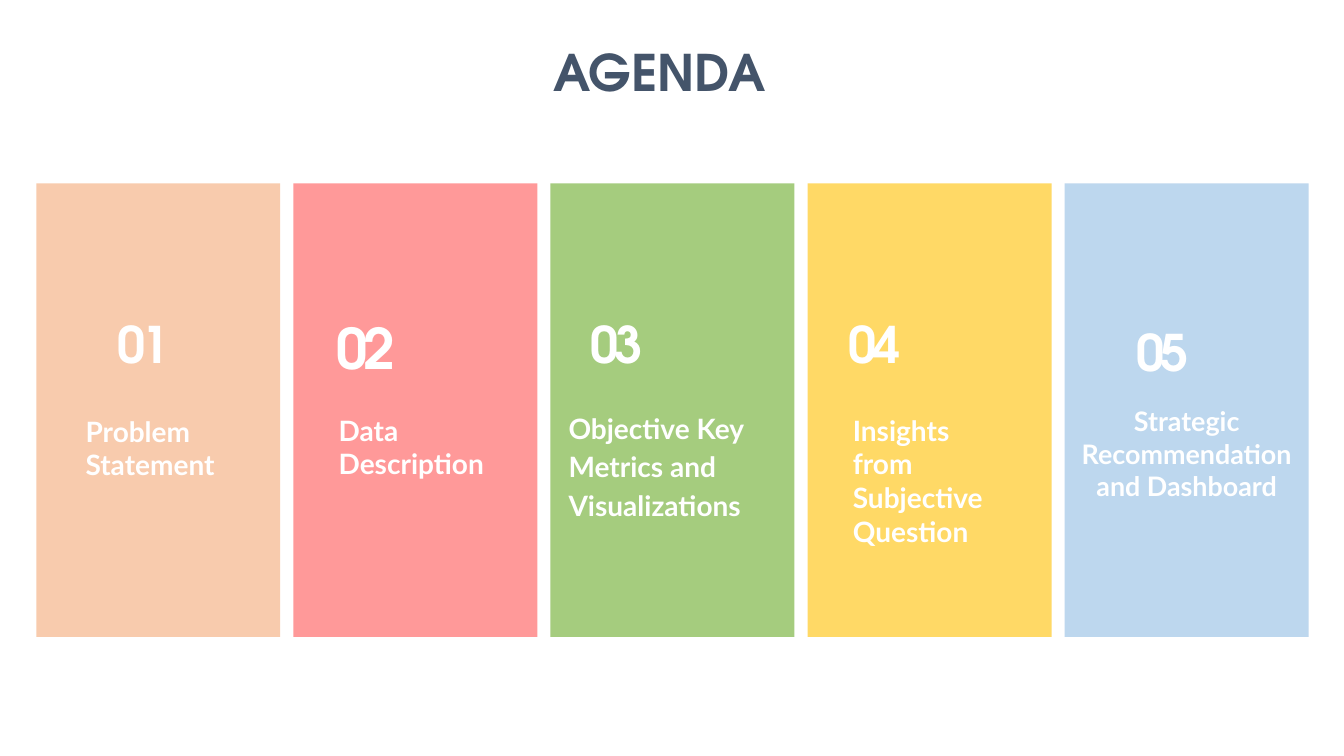
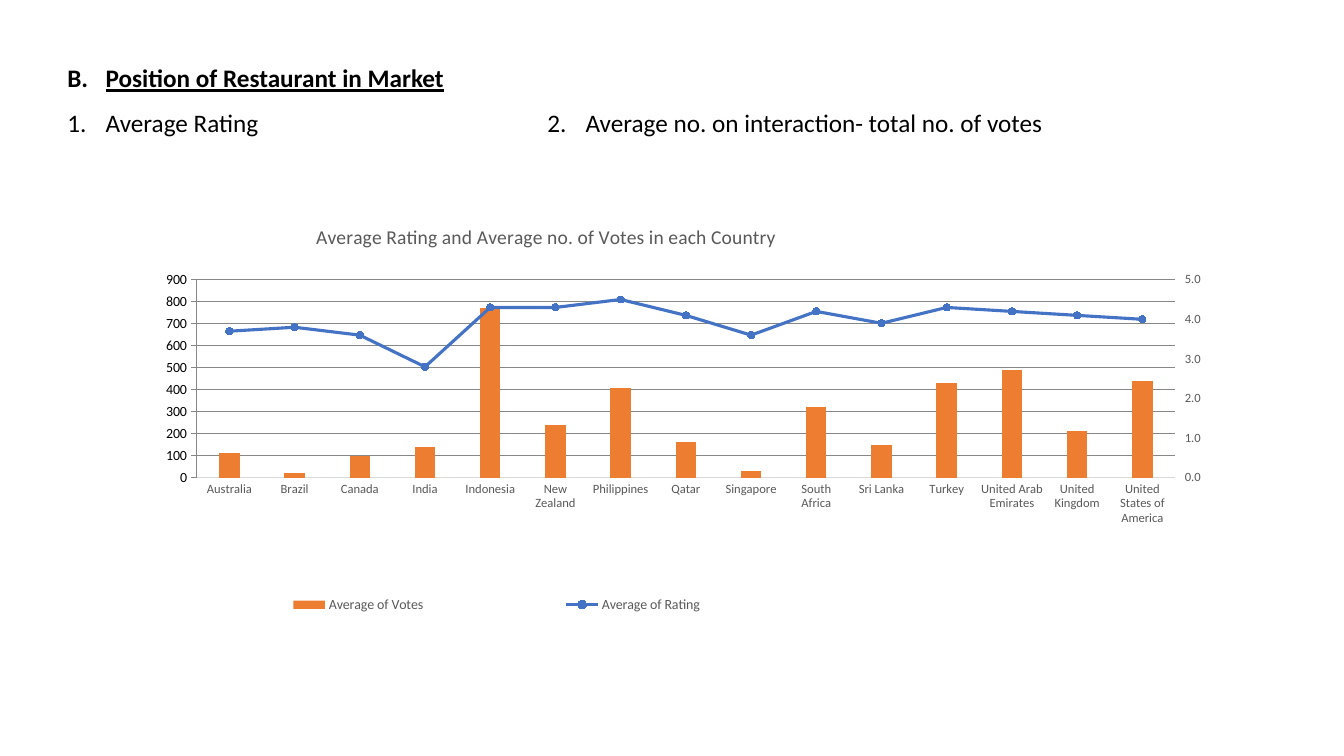
from pptx import Presentation
from pptx.chart.axis import ValueAxis
from pptx.chart.data import CategoryChartData
from pptx.dml.color import RGBColor
from pptx.enum.chart import XL_CHART_TYPE, XL_LEGEND_POSITION, XL_MARKER_STYLE, XL_TICK_MARK
from pptx.enum.shapes import MSO_SHAPE
from pptx.enum.text import MSO_AUTO_SIZE, PP_ALIGN
from pptx.oxml import parse_xml
from pptx.oxml.ns import nsdecls, qn
from pptx.util import Pt

EMU_PER_PX = 9144  # 100 px to the inch
COLORS = {
    "title": "44546A", "white": "FFFFFF", "black": "000000",
    "peach": "F8CBAD", "pink": "FF9999", "green": "A5CC7E",
    "yellow": "FFD966", "sky": "BDD7EE",
    "votes": "ED7D31", "rating": "4472C4", "chart_text": "595959", "axis": "D9D9D9",
}
FONTS = {
    "title": {"name": "TeX Gyre Adventor", "size": Pt(36), "bold": True},
    "label": {"name": "Lato", "size": Pt(20), "bold": True},
    "heading": {"name": "Calibri", "size": Pt(18), "bold": True, "underline": True},
    "item": {"name": "Calibri", "size": Pt(18), "bold": False},
    "chart_title": {"name": "Calibri", "size": Pt(14), "bold": False},
    "legend": {"name": "Calibri", "size": Pt(10)},
    "tick": {"name": "Calibri", "size": Pt(9)},
}

CARD_LEFT, CARD_PITCH, CARD_TOP, CARD_WIDTH, CARD_HEIGHT = 36, 255, 182, 242, 450
# colour, number box, number size, label, label box, label size, label format
CARDS = [
    ("peach", (107, 306, 127, 70), 36, "Problem Statement", (75, 406, 171, 77), 20, {}),
    ("pink", (324, 306, 127, 77), 40, "Data Description", (326, 405, 171, 77), 20, {}),
    ("green", (576, 306, 127, 70), 36, "Objective Key Metrics and Visualizations",
     (554, 398, 211, 121), 20, {"line_spacing": 1.15}),
    ("yellow", (832, 306, 127, 70), 36, "Insights from Subjective Question",
     (836, 405, 171, 143), 20, {}),
    ("sky", (1117, 314, 118, 70), 36, "Strategic Recommendation and Dashboard",
     (1061, 397, 232, 110), 19.2, {"alignment": PP_ALIGN.CENTER}),
]

COUNTRIES = [
    "Australia", "Brazil", "Canada", "India", "Indonesia", "New Zealand", "Philippines",
    "Qatar", "Singapore", "South Africa", "Sri Lanka", "Turkey", "United Arab Emirates",
    "United Kingdom", "United States of America",
]
VOTES = [110, 20, 100, 140, 770, 240, 410, 160, 30, 320, 150, 430, 490, 210, 440]
RATINGS = [3.7, 3.8, 3.6, 2.8, 4.3, 4.3, 4.5, 4.1, 3.6, 4.2, 3.9, 4.3, 4.2, 4.1, 4]


def px(length):
    return length * EMU_PER_PX


def rgb(color):
    return RGBColor.from_string(COLORS[color])


def set_attributes(target, values):
    for name, value in values.items():
        setattr(target, name, value)


def set_font(font, style, color, **changes):
    set_attributes(font, {**FONTS[style], **changes})
    font.color.rgb = rgb(color)


def set_fill(target, color):
    target.fill.solid()
    target.fill.fore_color.rgb = rgb(color)


def manual_layout(x, y, width, height, inner=False):
    """Return a chart layout element; a width of None fixes the position only."""
    target = '<c:layoutTarget val="inner"/>' if inner else ""
    parts = [("xMode", "edge"), ("yMode", "edge"), ("x", x), ("y", y)]
    if width is not None:
        parts += [("w", width), ("h", height)]
    body = "".join(f'<c:{tag} val="{value}"/>' for tag, value in parts)
    return parse_xml(f'<c:layout {nsdecls("c")}><c:manualLayout>{target}{body}'
                     "</c:manualLayout></c:layout>")


def replace_layout(parent, layout, before=None):
    for old in parent.findall(qn("c:layout")):
        parent.remove(old)
    if before is None:
        parent.insert(0, layout)
    else:
        parent.find(qn(before)).addprevious(layout)


def move_to_line(chart):
    """Draw the last column series as a line and return its new right axis."""
    plot_area = chart._chartSpace.find(".//" + qn("c:plotArea"))
    columns = plot_area.find(qn("c:barChart"))
    series = columns.findall(qn("c:ser"))[-1]
    for column_only in series.findall(qn("c:invertIfNegative")):
        series.remove(column_only)
    line = parse_xml(
        f'<c:lineChart {nsdecls("c")}><c:grouping val="standard"/><c:varyColors val="0"/>'
        '<c:marker val="1"/><c:axId val="5001"/><c:axId val="5002"/></c:lineChart>')
    line.insert(2, series)
    columns.addnext(line)
    scaling = '<c:scaling><c:orientation val="minMax"/></c:scaling>'
    right_axis = parse_xml(
        f'<c:valAx {nsdecls("c")}><c:axId val="5002"/>{scaling}<c:delete val="0"/>'
        '<c:axPos val="r"/><c:majorTickMark val="out"/><c:minorTickMark val="none"/>'
        '<c:tickLblPos val="nextTo"/><c:crossAx val="5001"/><c:crosses val="max"/>'
        '<c:crossBetween val="between"/></c:valAx>')
    hidden_axis = parse_xml(
        f'<c:catAx {nsdecls("c")}><c:axId val="5001"/>{scaling}<c:delete val="1"/>'
        '<c:axPos val="b"/><c:crossAx val="5002"/><c:crosses val="autoZero"/></c:catAx>')
    plot_area.find(qn("c:valAx")).addnext(right_axis)
    right_axis.addnext(hidden_axis)
    return ValueAxis(right_axis)


class Deck:
    def __init__(self):
        self.presentation = Presentation()
        set_attributes(self.presentation, {"slide_width": px(1333), "slide_height": px(750)})
        self.slide = None

    def new_slide(self):
        self.slide = self.presentation.slides.add_slide(self.presentation.slide_layouts[6])

    def text(self, box, text, style, color, wrap=True, spacing=None, paragraph_format=None,
             **font_changes):
        shape = self.slide.shapes.add_textbox(*map(px, box))
        set_attributes(shape.text_frame,
                       {"word_wrap": wrap, "auto_size": MSO_AUTO_SIZE.SHAPE_TO_FIT_TEXT})
        paragraph = shape.text_frame.paragraphs[0]
        set_attributes(paragraph, paragraph_format or {})
        run = paragraph.add_run()
        run.text = text
        set_font(run.font, style, color, **font_changes)
        if spacing is not None:
            run.font._element.set("spc", str(spacing))
        return paragraph

    def numbered(self, box, text, style, scheme, start):
        paragraph = self.text(box, text, style, "black",
                              paragraph_format={"line_spacing": 1.07, "space_after": Pt(8)})
        properties = paragraph._p.get_or_add_pPr()
        properties.set("marL", str(px(88)))
        properties.set("indent", str(px(-38)))
        properties.append(parse_xml(
            f'<a:buAutoNum {nsdecls("a")} type="{scheme}" startAt="{start}"/>'))

    def rectangle(self, box, color):
        shape = self.slide.shapes.add_shape(MSO_SHAPE.RECTANGLE, *map(px, box))
        shape.shadow.inherit = False
        set_fill(shape, color)
        shape.line.fill.background()

    def column_line_chart(self, box, title, categories, columns, line):
        """Columns use the left axis, the line the right one; each is (name, values)."""
        data = CategoryChartData()
        data.categories = categories
        for name, values in (columns, line):
            data.add_series(name, values)
        chart = self.slide.shapes.add_chart(
            XL_CHART_TYPE.COLUMN_CLUSTERED, *map(px, box), data).chart
        set_font(chart.font, "legend", "black")
        right_axis = move_to_line(chart)
        self.chart_title_and_legend(chart, title)
        self.chart_series(chart)
        self.chart_axes(chart, right_axis)

    def chart_title_and_legend(self, chart, title):
        chart.has_title = True
        frame = chart.chart_title.text_frame
        frame.text = title
        set_font(frame.paragraphs[0].runs[0].font, "chart_title", "chart_text")
        chart.has_legend = True
        set_attributes(chart.legend,
                       {"position": XL_LEGEND_POSITION.RIGHT, "include_in_layout": False})
        set_font(chart.legend.font, "legend", "chart_text")
        replace_layout(chart.chart_title._element, manual_layout(0.16, 0.03, None, None),
                       "c:overlay")
        replace_layout(chart.legend._element, manual_layout(0.01, 0.88, 0.65, 0.09),
                       "c:overlay")
        replace_layout(chart._chartSpace.find(".//" + qn("c:plotArea")),
                       manual_layout(0.05, 0.17, 0.93, 0.46, inner=True))

    def chart_series(self, chart):
        column_plot, line_plot = chart.plots
        set_attributes(column_plot, {"gap_width": 219, "vary_by_categories": False})
        set_fill(column_plot.series[0].format, "votes")
        rating = line_plot.series[0]
        rating.smooth = False
        rating.format.line.width = Pt(2.25)
        rating.format.line.color.rgb = rgb("rating")
        set_attributes(rating.marker, {"style": XL_MARKER_STYLE.CIRCLE, "size": 5})
        set_fill(rating.marker.format, "rating")
        rating.marker.format.line.color.rgb = rgb("rating")

    def chart_axes(self, chart, right_axis):
        scales = [
            (chart.value_axis, 900, 300, "0", XL_TICK_MARK.NONE),
            (right_axis, 5, 1, "0.0", XL_TICK_MARK.OUTSIDE),
        ]
        for axis, maximum, unit, number_format, tick_mark in scales:
            set_attributes(axis, {
                "minimum_scale": 0, "maximum_scale": maximum, "major_unit": unit,
                "has_major_gridlines": False, "major_tick_mark": tick_mark})
            set_attributes(axis.tick_labels, {
                "number_format": number_format, "number_format_is_linked": False})
            axis.format.line.fill.background()
        category_axis = chart.category_axis
        category_axis.major_tick_mark = XL_TICK_MARK.NONE
        category_axis.format.line.width = Pt(0.75)
        category_axis.format.line.color.rgb = rgb("axis")
        for axis in (category_axis, chart.value_axis, right_axis):
            set_font(axis.tick_labels.font, "tick", "chart_text")


def add_agenda(deck):
    deck.new_slide()
    deck.text((536, 36, 236, 71), "AGENDA", "title", "title", wrap=False,
              paragraph_format={"alignment": PP_ALIGN.CENTER})
    for index, card in enumerate(CARDS):
        color, number_box, number_size, label, label_box, label_size, label_format = card
        left = CARD_LEFT + index * CARD_PITCH
        deck.rectangle((left, CARD_TOP, CARD_WIDTH, CARD_HEIGHT), color)
        deck.text(number_box, f"{index + 1:02}", "title", "white", spacing=-300,
                  size=Pt(number_size))
        deck.text(label_box, label, "label", "white", paragraph_format=label_format,
                  size=Pt(label_size))


def add_market_position(deck):
    deck.new_slide()
    deck.numbered((7, 55, 470, 52), "Position of Restaurant in Market", "heading",
                  "alphaUcPeriod", 2)
    deck.numbered((7, 99, 470, 52), "Average Rating", "item", "arabicPeriod", 1)
    deck.numbered((483, 99, 650, 52), "Average no. on interaction- total no. of votes", "item",
                  "arabicPeriod", 2)
    deck.column_line_chart(
        (143, 205, 1048, 427), "Average Rating and Average no. of Votes in each Country",
        COUNTRIES, ("Average of Votes", VOTES), ("Average of Rating", RATINGS))


def main():
    deck = Deck()
    add_agenda(deck)
    add_market_position(deck)
    deck.presentation.save("out.pptx")


if __name__ == "__main__":
    main()
